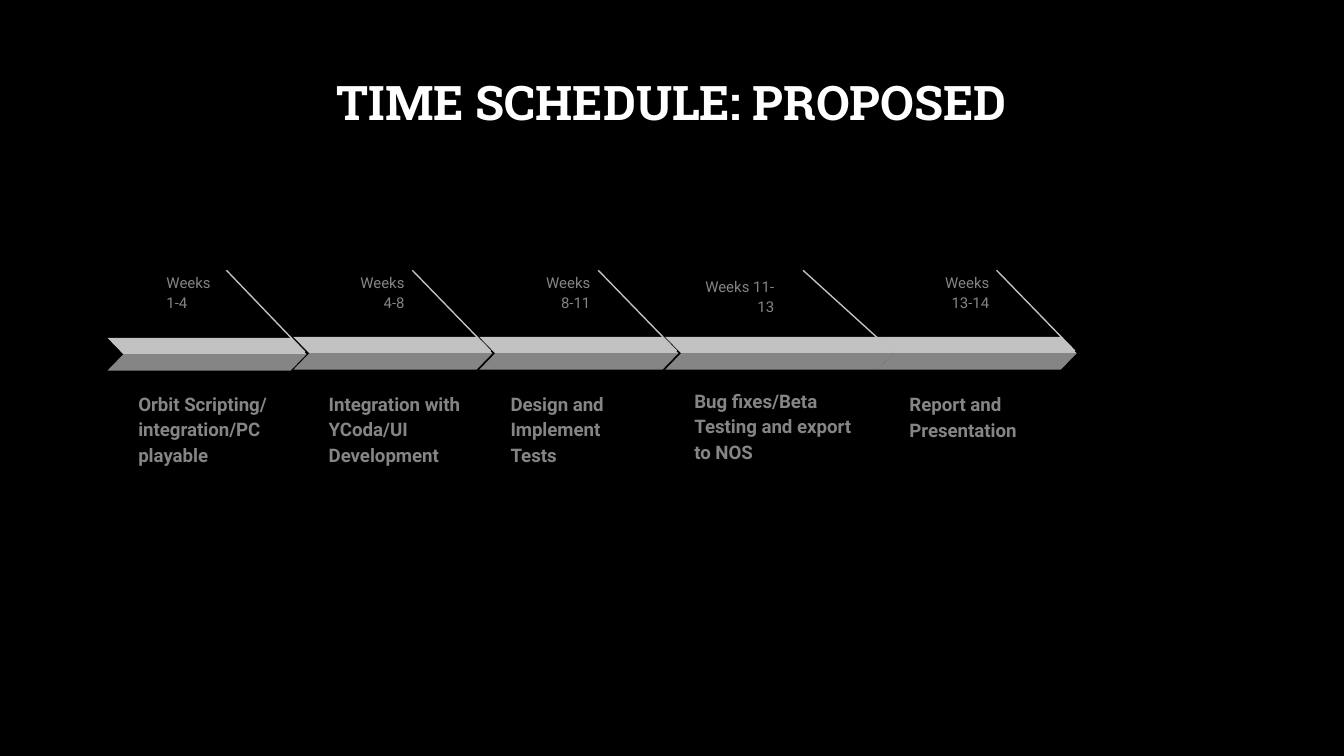
from dataclasses import dataclass

from lxml import etree
from pptx import Presentation
from pptx.dml.color import RGBColor
from pptx.enum.shapes import MSO_CONNECTOR, MSO_SHAPE
from pptx.enum.text import MSO_ANCHOR, PP_ALIGN
from pptx.oxml.ns import qn
from pptx.util import Pt

STRAIGHT = MSO_CONNECTOR.STRAIGHT
PARALLELOGRAM = MSO_SHAPE.PARALLELOGRAM
TOP, BOTTOM = MSO_ANCHOR.TOP, MSO_ANCHOR.BOTTOM
LEFT, CENTER, RIGHT = PP_ALIGN.LEFT, PP_ALIGN.CENTER, PP_ALIGN.RIGHT

LIGHT, DARK, WHITE, BLACK = "C2C2C2", "858585", "FFFFFF", "000000"
BODY_FONT, TITLE_FONT = "Roboto", "Roboto Slab"
BAR_HEIGHT = 8.75
LABEL_HEIGHT = 26


@dataclass
class Phase:
    """One step of the schedule, with its places in points."""
    weeks: str
    task: str
    left: float
    weeks_left: float
    task_left: float
    task_top: float = 231.1
    width: float = 106.6
    weeks_top: float = 138.2
    weeks_width: float = 41.8
    task_width: float = 87.8
    bar_top: float = 180.5
    leader_run: float = 42
    weeks_align: PP_ALIGN = RIGHT


PHASES = [
    Phase("Weeks 1-4", "Orbit Scripting/ integration/PC playable", 57.6, 82.1, 67,
          task_width=90, bar_top=181, weeks_align=LEFT),
    Phase("Weeks 4-8", "Integration with YCoda/UI Development", 157.2, 182, 169),
    Phase("Weeks 8-11", "Design and Implement Tests", 256.8, 281.6, 266.4),
    Phase("Weeks 11-13", "Bug fixes/Beta Testing and export to NOS", 356.4, 362.9, 364.9,
          task_top=229.4, width=122.4, weeks_top=140.4, weeks_width=59,
          task_width=100, leader_run=47.7),
    Phase("Weeks 13-14", "Report and Presentation", 470.2, 495.3, 480.1, task_top=217.6),
]


def color(value):
    """Turn a hex string into a colour."""
    return RGBColor.from_string(value)


def add_text(shapes, text, left, top, width, height, size, ink=DARK, font=BODY_FONT,
             bold=False, align=LEFT, anchor=TOP, spacing=1.15, after=0):
    """Add a wrapping text box with one paragraph."""
    box = shapes.add_textbox(Pt(left), Pt(top), Pt(width), Pt(height))
    frame = box.text_frame
    frame.word_wrap = True
    frame.vertical_anchor = anchor
    frame.margin_left = frame.margin_right = Pt(7.2)
    frame.margin_top = frame.margin_bottom = Pt(7.2)
    para = frame.paragraphs[0]
    para.alignment = align
    para.line_spacing = spacing
    para.space_after = Pt(after)
    span = para.add_run()
    span.text = text
    span.font.name = font
    span.font.size = Pt(size)
    span.font.bold = bold
    span.font.color.rgb = color(ink)


def add_bar(shapes, left, top, width, fill, flipped=False):
    """Add one slanted half of a chevron bar."""
    bar = shapes.add_shape(PARALLELOGRAM, Pt(left), Pt(top), Pt(width), Pt(BAR_HEIGHT))
    bar.shadow.inherit = False
    bar.adjustments[0] = 0.97
    bar.fill.solid()
    bar.fill.fore_color.rgb = color(fill)
    bar.line.fill.background()
    if flipped:
        bar.element.spPr.xfrm.set("flipH", "1")


def add_leader(shapes, start_x, start_y, end_x, end_y):
    """Add a thin straight line without a shadow."""
    leader = shapes.add_connector(STRAIGHT, Pt(start_x), Pt(start_y), Pt(end_x), Pt(end_y))
    leader.line.color.rgb = color(LIGHT)
    leader.line.width = Pt(0.75)
    etree.SubElement(leader.element.spPr, qn("a:effectLst"))


def add_phase(page, phase):
    """Add one phase as a group of labels, leader and bar halves."""
    shapes = page.shapes.add_group_shape().shapes
    add_text(shapes, phase.weeks, phase.weeks_left, phase.weeks_top, phase.weeks_width, 14,
             8, align=phase.weeks_align, after=16)
    add_text(shapes, phase.task, phase.task_left, phase.task_top, phase.task_width,
             LABEL_HEIGHT, 10, bold=True, anchor=BOTTOM)
    leader_end = phase.left + phase.width - 0.9
    add_leader(shapes, leader_end - phase.leader_run, 144.8, leader_end, phase.bar_top + 7.6)
    add_bar(shapes, phase.left, phase.bar_top, phase.width, LIGHT, flipped=True)
    add_bar(shapes, phase.left, phase.bar_top + BAR_HEIGHT, phase.width, DARK)


def main():
    """Build the schedule slide and save it."""
    deck = Presentation()
    deck.slide_width, deck.slide_height = Pt(720), Pt(405)
    page = deck.slides.add_slide(deck.slide_layouts[6])
    page.background.fill.solid()
    page.background.fill.fore_color.rgb = color(BLACK)
    add_text(page.shapes, "TIME SCHEDULE: PROPOSED", 24.5, 35.3, 671, 45.4, 25.5, WHITE,
             TITLE_FONT, bold=True, align=CENTER, spacing=0.9)
    for phase in PHASES:
        add_phase(page, phase)
    deck.save("out.pptx")


if __name__ == "__main__":
    main()
